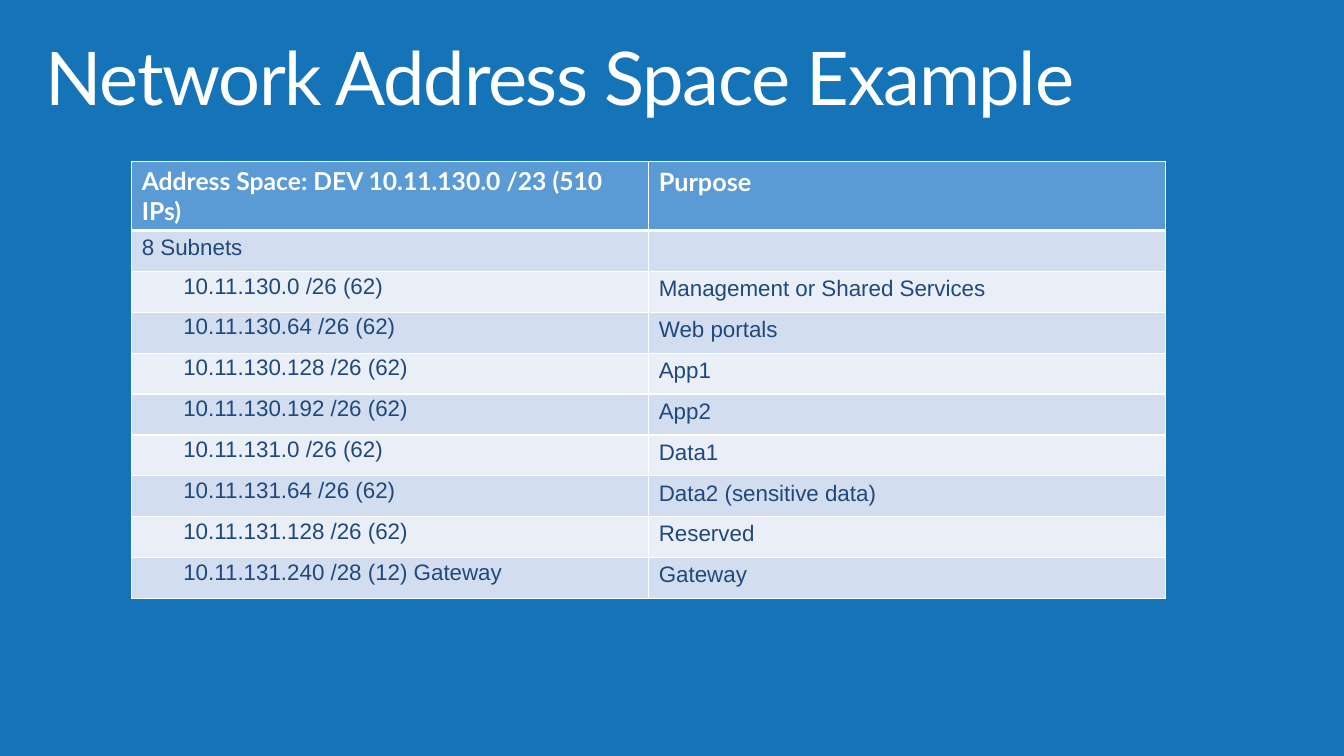
from typing import NamedTuple

from lxml.etree import SubElement
from pptx import Presentation
from pptx.dml.color import RGBColor
from pptx.enum.text import MSO_ANCHOR
from pptx.oxml.ns import qn
from pptx.slide import Slide
from pptx.table import _Cell as Cell
from pptx.text.text import _Paragraph as Paragraph
from pptx.util import Cm, Pt

BLUE = RGBColor(0x15, 0x74, 0xB8)
HEADER_BLUE = RGBColor(0x5B, 0x9B, 0xD5)
DARK_BAND = RGBColor(0xD2, 0xDE, 0xEF)
LIGHT_BAND = RGBColor(0xEA, 0xEF, 0xF7)
NAVY = RGBColor(0x1F, 0x49, 0x7D)
WHITE = RGBColor(0xFF, 0xFF, 0xFF)

COLUMN_WIDTH = Cm(13.03)
HEADER_HEIGHT = Cm(1.75)
ROW_HEIGHT = Cm(1.03)
THIN, THICK = Pt(1), Pt(3)


class TextStyle(NamedTuple):
    font: str
    size: float
    color: RGBColor
    bold: bool = False


class Subnet(NamedTuple):
    address: str
    purpose: str


TITLE = TextStyle("Lato", 52.9, WHITE)
SPACE_HEADER = TextStyle("Lato", 17.6, WHITE, True)
PURPOSE_HEADER = TextStyle("Lato", 18, WHITE, True)
BODY = TextStyle("Arial", 16, NAVY)

SUBNETS = [
    Subnet("10.11.130.0 /26 (62)", "Management or Shared Services"),
    Subnet("10.11.130.64 /26 (62)", "Web portals"),
    Subnet("10.11.130.128 /26 (62)", "App1"),
    Subnet("10.11.130.192 /26 (62)", "App2"),
    Subnet("10.11.131.0 /26 (62)", "Data1"),
    Subnet("10.11.131.64 /26 (62)", "Data2 (sensitive data)"),
    Subnet("10.11.131.128 /26 (62)", "Reserved"),
    Subnet("10.11.131.240 /28 (12) Gateway", "Gateway"),
]


def add_span(para: Paragraph, text: str, style: TextStyle) -> None:
    span = para.add_run()
    span.text = text
    span.font.name = style.font
    span.font.size = Pt(style.size)
    span.font.bold = style.bold
    span.font.color.rgb = style.color


def set_borders(cell: Cell, top: int, bottom: int) -> None:
    properties = cell._tc.get_or_add_tcPr()
    widths = {"a:lnL": THIN, "a:lnR": THIN, "a:lnT": top, "a:lnB": bottom}
    for side, width in widths.items():
        line = SubElement(properties, qn(side), w=str(int(width)))
        fill = SubElement(line, qn("a:solidFill"))
        SubElement(fill, qn("a:srgbClr"), val=str(WHITE))


def fill_cell(cell: Cell, text: str, style: TextStyle, color: RGBColor,
              top: int = THIN, bottom: int = THIN) -> None:
    set_borders(cell, top, bottom)
    cell.fill.solid()
    cell.fill.fore_color.rgb = color
    para = cell.text_frame.paragraphs[0]
    if text:
        add_span(para, text, style)
    else:
        para.font.size = Pt(style.size)


def indent_address(cell: Cell) -> None:
    cell.margin_left = cell.margin_right = Cm(0.18)
    cell.margin_top = cell.margin_bottom = 0
    para = cell.text_frame.paragraphs[0]
    para.line_spacing = 1.1
    para.space_before = Pt(6)
    properties = para._p.get_or_add_pPr()
    properties.set("marL", str(int(Cm(0.41))))
    properties.set("indent", str(int(Cm(0.71))))


def add_title(page: Slide) -> None:
    box = page.shapes.add_textbox(Cm(0.74), Cm(0.81), Cm(32.05), Cm(2.49))
    frame = box.text_frame
    frame.word_wrap = True
    frame.vertical_anchor = MSO_ANCHOR.TOP
    frame.margin_left = frame.margin_right = Cm(0.41)
    frame.margin_top = frame.margin_bottom = Cm(0.25)
    para = frame.paragraphs[0]
    para.line_spacing = 0.9
    add_span(para, "Network Address Space Example", TITLE)
    for properties in box.element.iter(qn("a:rPr")):
        properties.set("spc", "-100")


def add_address_table(page: Slide) -> None:
    row_count = len(SUBNETS) + 2
    table = page.shapes.add_table(
        row_count, 2, Cm(3.32), Cm(4.06), 2 * COLUMN_WIDTH,
        HEADER_HEIGHT + (row_count - 1) * ROW_HEIGHT).table
    for column in table.columns:
        column.width = COLUMN_WIDTH
    for index, row in enumerate(table.rows):
        row.height = ROW_HEIGHT if index else HEADER_HEIGHT

    # Header and group rows
    fill_cell(table.cell(0, 0), "Address Space: DEV 10.11.130.0 /23 (510 IPs)",
              SPACE_HEADER, HEADER_BLUE, bottom=THICK)
    fill_cell(table.cell(0, 1), "Purpose", PURPOSE_HEADER, HEADER_BLUE, bottom=THICK)
    fill_cell(table.cell(1, 0), "8 Subnets", BODY, DARK_BAND, top=THICK)
    fill_cell(table.cell(1, 1), "", BODY, DARK_BAND, top=THICK)

    # Subnet rows in alternating bands
    for index, subnet in enumerate(SUBNETS, start=2):
        band = DARK_BAND if index % 2 else LIGHT_BAND
        address_cell = table.cell(index, 0)
        fill_cell(address_cell, subnet.address, BODY, band)
        indent_address(address_cell)
        fill_cell(table.cell(index, 1), subnet.purpose, BODY, band)


def main() -> None:
    deck = Presentation()
    deck.slide_width, deck.slide_height = Cm(33.87), Cm(19.05)
    page = deck.slides.add_slide(deck.slide_layouts[6])
    page.background.fill.solid()
    page.background.fill.fore_color.rgb = BLUE
    add_title(page)
    add_address_table(page)
    deck.save("out.pptx")


if __name__ == "__main__":
    main()
